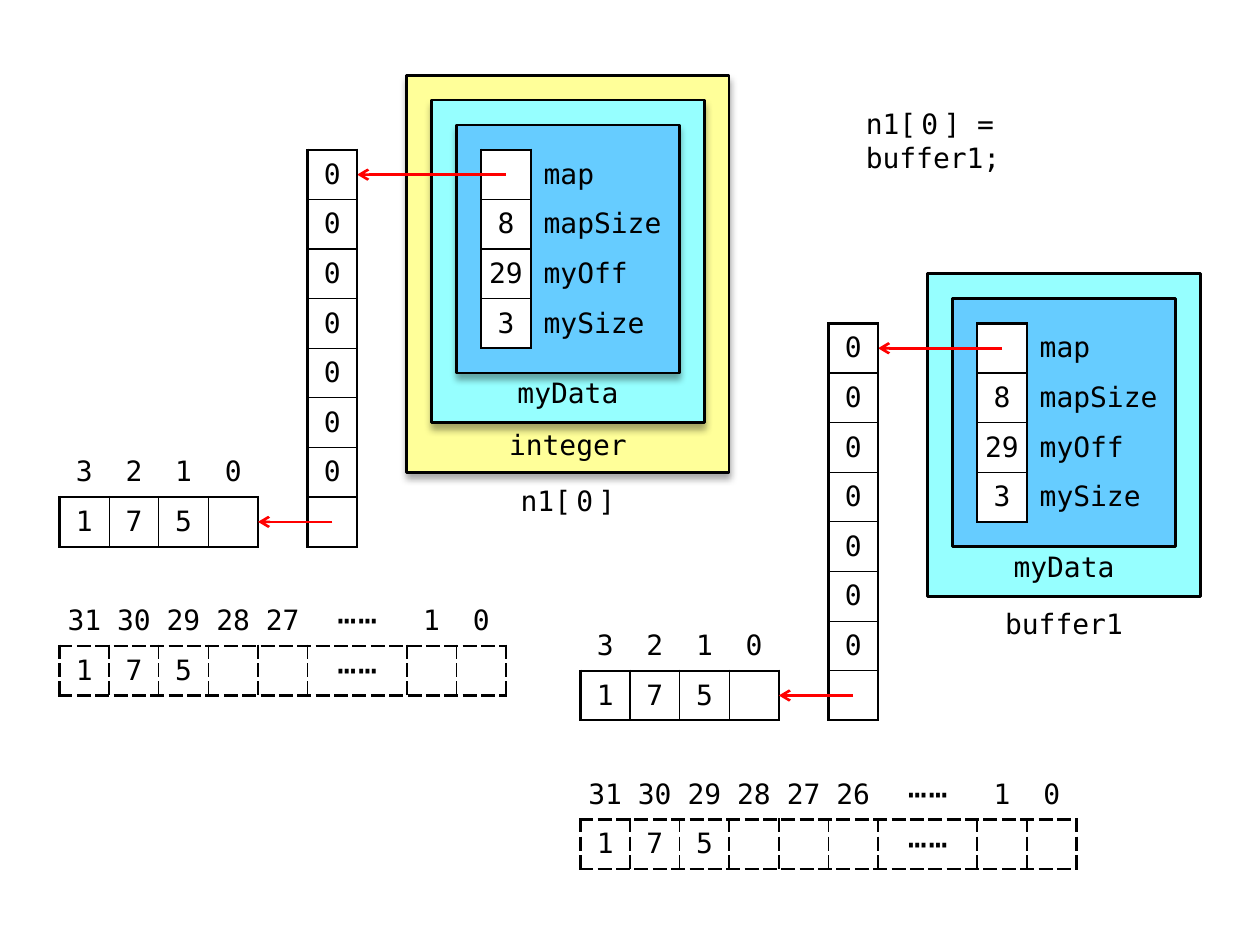
from lxml.etree import SubElement
from pptx import Presentation
from pptx.dml.color import RGBColor
from pptx.enum.shapes import MSO_CONNECTOR, MSO_SHAPE
from pptx.enum.text import MSO_ANCHOR as Anchor, MSO_AUTO_SIZE, PP_ALIGN as Align
from pptx.oxml.ns import qn
from pptx.util import Emu, Inches, Pt

PX = 7200
CELL = 50
FONT = "DejaVu Sans Mono"
BLACK, WHITE, RED = "000000", "FFFFFF", "FF0000"
YELLOW, CYAN, BLUE = "FFFF99", "96FFFF", "66CCFF"
NO_GRID_STYLE = "{2D5ABB26-0587-4C30-8999-92F81FD0307C}"
DOTS = "⋯⋯"
N1 = [("n1", 0), ("[0", 3), ("]", 0)]
FIELDS = [["", "map"], ["8", "mapSize"], ["29", "myOff"], ["3", "mySize"]]


def px(n):
    return Emu(n * PX)


def color(value):
    return RGBColor.from_string(value)


def write(tf, text, size=16, align=Align.CENTER):
    """Fill a frame's first paragraph from a string or (text, spacing) pairs."""
    p = tf.paragraphs[0]
    p.alignment = align
    p.space_before = Pt(0)
    for part, spacing in [(text, 0)] if isinstance(text, str) else text:
        r = p.add_run()
        r.text = part
        r.font.name, r.font.size = FONT, Pt(size)
        r.font.color.rgb = color(BLACK)
        if spacing:
            r.font._element.set("spc", str(spacing * 100))
    return p


def add_statement(s):
    s.shapes.title.element.getparent().remove(s.shapes.title.element)
    body = s.placeholders[1]
    body.left, body.top, body.width, body.height = map(px, (860, 101, 300, CELL))
    body.text_frame.auto_size = MSO_AUTO_SIZE.NONE
    p = write(body.text_frame, N1[:2] + [("] = buffer1;", 0)], align=Align.LEFT)
    pPr = p._p.get_or_add_pPr()
    pPr.set("marL", "0")
    pPr.set("indent", "0")
    SubElement(pPr, qn("a:buNone"))


def add_box(s, x, y, w, h, fill, shadow):
    box = s.shapes.add_shape(MSO_SHAPE.FLOWCHART_PROCESS, *map(px, (x, y, w, h)))
    box.fill.solid()
    box.fill.fore_color.rgb = color(fill)
    box.line.color.rgb = color(BLACK)
    box.line.width = Pt(1.5)
    box.shadow.inherit = False
    if shadow:
        effects = box.element.spPr.find(qn("a:effectLst"))
        outer = SubElement(effects, qn("a:outerShdw"), blurRad=str(Pt(4)),
                           dist=str(Pt(3)), dir="5400000", rotWithShape="0")
        black = SubElement(outer, qn("a:srgbClr"), val=BLACK)
        SubElement(black, qn("a:alpha"), val="35000")


def add_label(s, x, y, w, text, anchor=Anchor.TOP, top=5, bottom=0):
    tf = s.shapes.add_textbox(*map(px, (x, y, w, CELL))).text_frame
    tf.word_wrap = True
    tf.vertical_anchor = anchor
    tf.margin_left = tf.margin_right = px(10)
    tf.margin_top, tf.margin_bottom = px(top), px(bottom)
    write(tf, text)


def add_arrow(s, x1, x2, y):
    line = s.shapes.add_connector(MSO_CONNECTOR.STRAIGHT, *map(px, (x1, y, x2, y)))
    line.line.color.rgb = color(RED)
    line.line.width = Pt(1.5)
    SubElement(line.line._get_or_add_ln(), qn("a:tailEnd"), type="arrow")
    SubElement(line.element.spPr, qn("a:effectLst"))


def set_border(cell, side, width, dash):
    ln = SubElement(cell._tc.get_or_add_tcPr(), qn(f"a:ln{side}"), w=str(Pt(width)))
    fill = SubElement(ln, qn("a:solidFill"))
    SubElement(fill, qn("a:srgbClr"), val=BLACK)
    SubElement(ln, qn("a:prstDash"), val=dash)


def add_grid(s, x, y, widths, rows, boxed_rows, boxed_cols, inner=0.75,
             dash="solid", names_col=None):
    """Add a table whose boxed rows and columns get a heavy outline."""
    frame = s.shapes.add_table(len(rows), len(widths), px(x), px(y),
                               px(sum(widths)), px(CELL * len(rows)))
    table = frame.table
    table.first_row = table.horz_banding = False
    next(frame.element.iter(qn("a:tableStyleId"))).text = NO_GRID_STYLE
    for column, width in zip(table.columns, widths):
        column.width = px(width)
    for i, row in enumerate(rows):
        for j, text in enumerate(row):
            cell = table.cell(i, j)
            named = j == names_col
            cell.vertical_anchor = Anchor.MIDDLE
            cell.margin_left = cell.margin_right = px(13 if named else 0)
            cell.margin_top = cell.margin_bottom = px(5)
            if text == DOTS:
                write(cell.text_frame, [("⋯", 1), ("⋯", 0)], size=18)
            elif text:
                write(cell.text_frame, text, align=Align.LEFT if named else Align.CENTER)
            if i in boxed_rows and j in boxed_cols:
                edges = {"L": j == boxed_cols[0], "R": j == boxed_cols[-1],
                         "T": i == boxed_rows[0], "B": i == boxed_rows[-1]}
                for side, outer in edges.items():
                    set_border(cell, side, 1.5 if outer else inner, dash)
                cell.fill.solid()
                cell.fill.fore_color.rgb = color(WHITE)
            else:
                cell.fill.background()


def add_indexed_row(s, x, y, indexes, **style):
    """Add a row of cells holding 1 7 5, under its index numbers."""
    values = ["1", "7", "5"] + [i if i == DOTS else "" for i in indexes[3:]]
    widths = [2 * CELL if i == DOTS else CELL for i in indexes]
    add_grid(s, x, y, widths, [indexes, values], [1], range(len(indexes)), **style)


def add_data_boxes(s, x, y, shadow):
    """Add the myData boxes around a field table at x, y."""
    add_box(s, x - 50, y - 50, 275, 325, CYAN, shadow)
    add_box(s, x - 25, y - 25, 225, 250, BLUE, shadow)
    add_label(s, x + 25, y + 225, 125, "myData", top=3)


def add_memory(s, x, y, map_x, indexes):
    """Add the field table at x, y with its map, digit block and bit array."""
    digits_x = map_x - 250
    add_grid(s, x, y, [CELL, 3 * CELL], FIELDS, range(4), [0], inner=1, names_col=1)
    add_arrow(s, x + 25, map_x + CELL, y + 25)
    add_grid(s, map_x, y, [CELL], [["0"]] * 7 + [[""]], range(8), [0])
    add_indexed_row(s, digits_x, y + 300, ["3", "2", "1", "0"])
    add_arrow(s, map_x + 25, digits_x + 4 * CELL, y + 375)
    add_indexed_row(s, digits_x, y + 450, indexes.split(), inner=1, dash="sysDash")


def main():
    prs = Presentation()
    prs.slide_width, prs.slide_height = Inches(10), Inches(7.5)
    s = prs.slides.add_slide(prs.slide_layouts[1])
    add_statement(s)

    add_box(s, 410, 76, 325, 400, YELLOW, shadow=True)
    add_data_boxes(s, 485, 151, shadow=True)
    add_label(s, 485, 426, 175, "integer")
    add_label(s, 510, 476, 125, N1, anchor=Anchor.BOTTOM, top=6, bottom=5)
    add_memory(s, 485, 151, 310, f"31 30 29 28 27 {DOTS} 1 0")

    add_data_boxes(s, 985, 326, shadow=False)
    add_label(s, 985, 601, 175, "buffer1", anchor=Anchor.MIDDLE)
    add_memory(s, 985, 326, 835, f"31 30 29 28 27 26 {DOTS} 1 0")
    prs.save("out.pptx")


if __name__ == "__main__":
    main()
